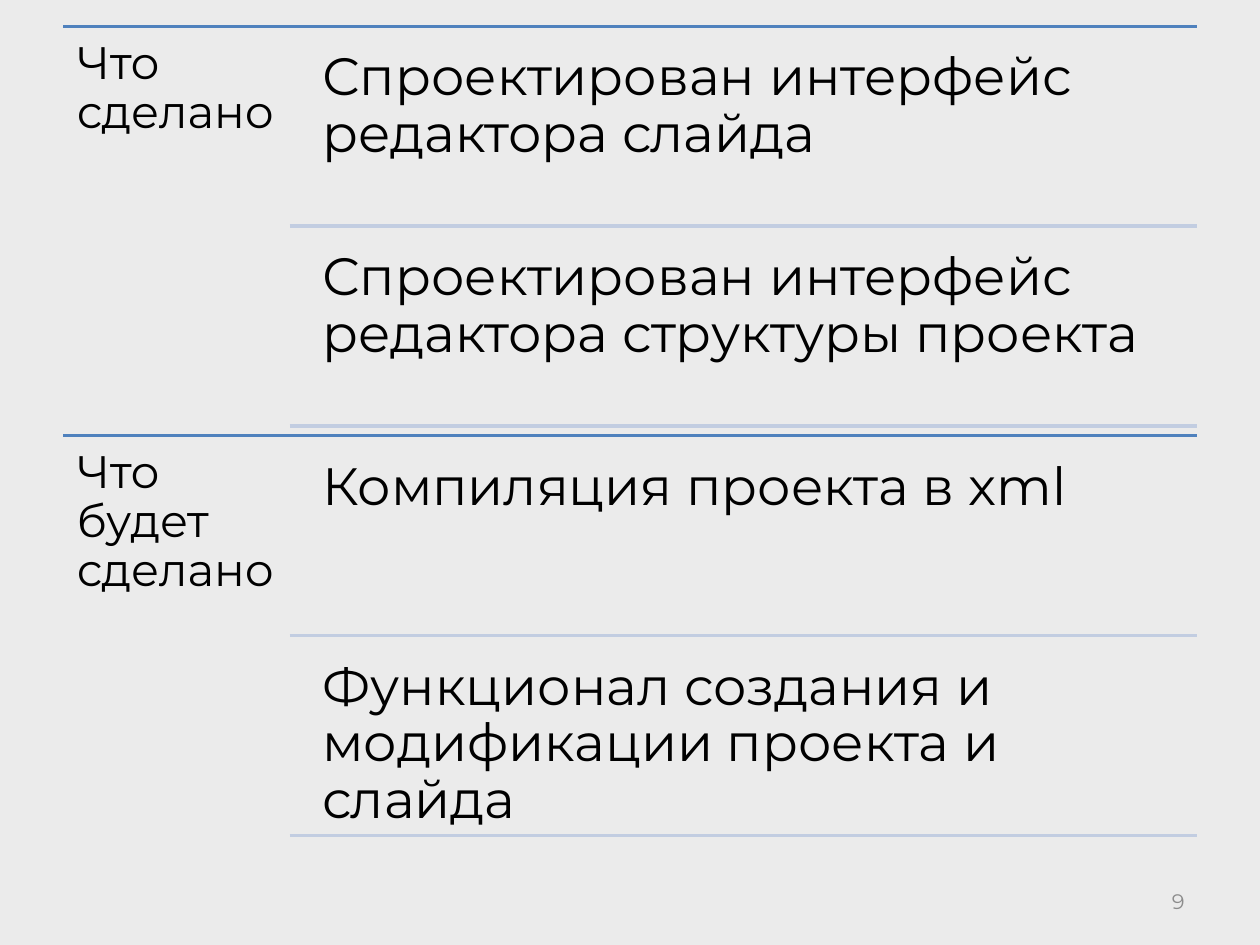
from lxml import etree
from pptx import Presentation
from pptx.dml.color import RGBColor
from pptx.enum.shapes import MSO_CONNECTOR
from pptx.enum.text import MSO_ANCHOR, PP_ALIGN
from pptx.oxml.ns import qn
from pptx.util import Cm, Pt

STRAIGHT = MSO_CONNECTOR.STRAIGHT
TOP, MIDDLE = MSO_ANCHOR.TOP, MSO_ANCHOR.MIDDLE
LEFT, RIGHT = PP_ALIGN.LEFT, PP_ALIGN.RIGHT

PAPER = RGBColor(0xEB, 0xEB, 0xEB)
BLUE = RGBColor(0x4F, 0x81, 0xBD)
PALE = RGBColor(0xC2, 0xCD, 0xE1)
BLACK = RGBColor(0, 0, 0)
GREY = RGBColor(0x8C, 0x8C, 0x8C)
FONT = "Montserrat"

# All lengths are in centimetres.
SIDE, HEAD = 1.27, 0.53
WIDTH, HEIGHT = 22.86, 8.25
LABEL = 4.57
INDENT = 0.36
GAP = 0.19

SECTIONS = [
    ("Что сделано", [
        "Спроектирован интерфейс редактора слайда",
        "Спроектирован интерфейс редактора структуры проекта",
    ]),
    ("Что будет сделано", [
        "Компиляция проекта в xml",
        "Функционал создания и модификации проекта и слайда",
    ]),
]


def add_rule(slide, x, y, width, color):
    """Draw a horizontal line."""
    rule = slide.shapes.add_connector(
        STRAIGHT, Cm(x), Cm(y), Cm(x + width), Cm(y))
    rule.line.color.rgb = color
    rule.line.width = Pt(2)
    etree.SubElement(rule._element.spPr, qn("a:effectLst"))


def add_text(slide, box, text, size, inset, color=BLACK, spacing=0.9,
             align=LEFT, anchor=TOP):
    shape = slide.shapes.add_textbox(*map(Cm, box))
    frame = shape.text_frame
    frame.word_wrap = True
    frame.vertical_anchor = anchor
    frame.margin_left = frame.margin_right = Cm(inset)
    frame.margin_top = frame.margin_bottom = Cm(inset)
    para = frame.paragraphs[0]
    para.text = text
    para.alignment = align
    para.line_spacing = spacing
    para.font.name = FONT
    para.font.size = Pt(size)
    para.font.color.rgb = color


def add_section(slide, box, label, items):
    """Place a label on the left and ruled items on the right."""
    x, y, width, height = box
    add_rule(slide, x, y, width, BLUE)
    add_text(slide, (x, y, LABEL, height), label, 26, 0.28)
    left = x + LABEL
    tall = (height - GAP) / len(items)
    for i, item in enumerate(items):
        top = y + i * tall
        cell = (left + INDENT, top + GAP, width - LABEL - INDENT, tall - GAP)
        add_text(slide, cell, item, 30, 0.3)
        add_rule(slide, left, top + tall, width - LABEL, PALE)


def main():
    deck = Presentation()
    deck.slide_width, deck.slide_height = Cm(25.4), Cm(19.05)
    slide = deck.slides.add_slide(deck.slide_layouts.get_by_name("Blank"))
    fill = slide.background.fill
    fill.solid()
    fill.fore_color.rgb = PAPER
    for i, (label, items) in enumerate(SECTIONS):
        box = (SIDE, HEAD + i * HEIGHT, WIDTH, HEIGHT)
        add_section(slide, box, label, items)
    add_text(slide, (18.2, 17.66, 5.93, 1.01), "9", 12, 0.25, GREY,
             spacing=1.0, align=RIGHT, anchor=MIDDLE)
    deck.save("out.pptx")


if __name__ == "__main__":
    main()
